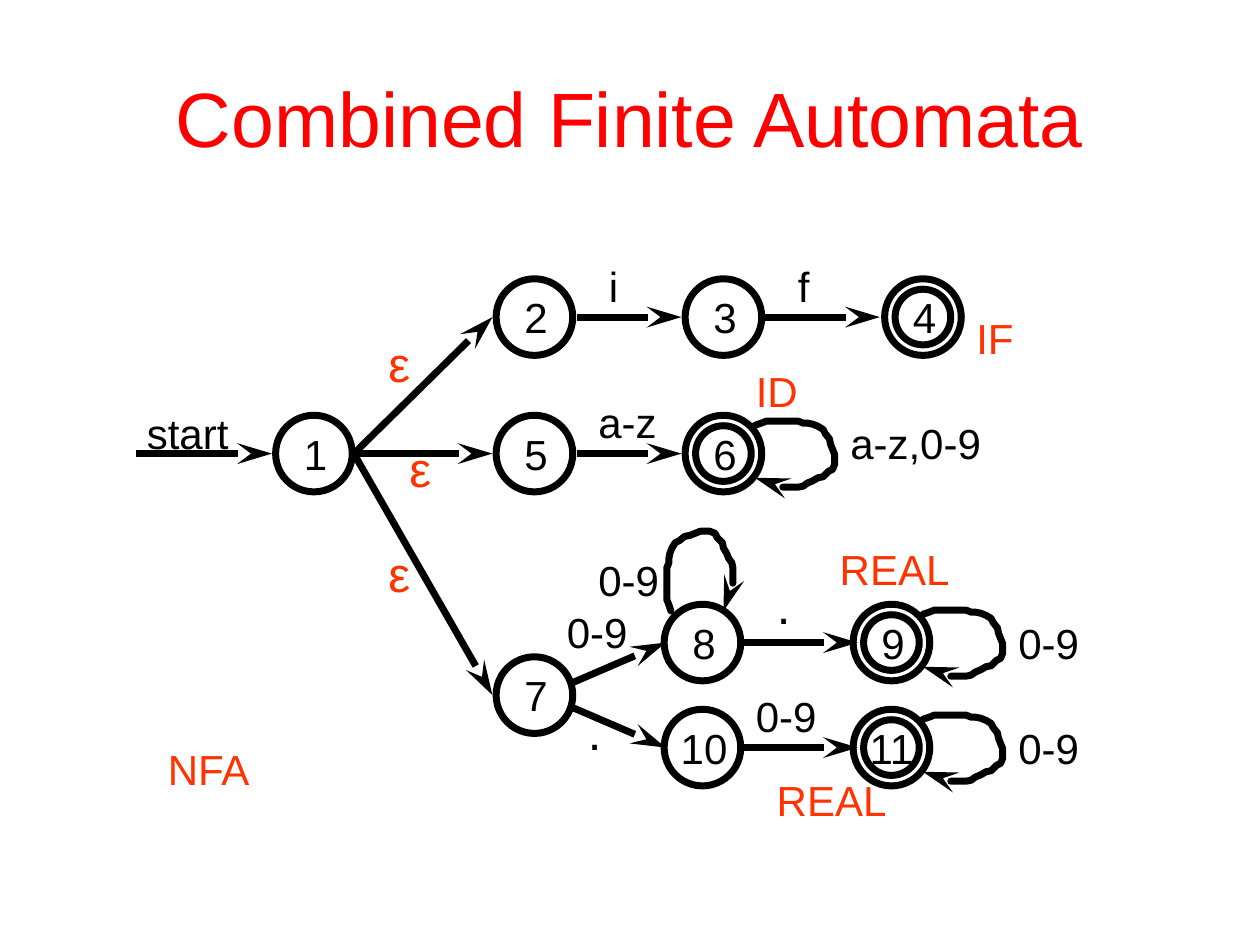
"""Builds a slide showing the combined finite automata as one NFA."""
from dataclasses import dataclass

from lxml.etree import SubElement
from pptx import Presentation
from pptx.dml.color import RGBColor
from pptx.enum.shapes import MSO_CONNECTOR, MSO_SHAPE
from pptx.enum.text import MSO_ANCHOR, MSO_AUTO_SIZE, PP_ALIGN
from pptx.oxml.ns import qn
from pptx.util import Inches, Pt


@dataclass(frozen=True)
class Theme:
    font: str = "Arial"
    ink: RGBColor = RGBColor(0, 0, 0)
    head: RGBColor = RGBColor(255, 0, 0)
    mark: RGBColor = RGBColor(255, 51, 0)
    title: int = 44
    text: int = 24
    sign: int = 28
    line: int = 4


theme = Theme()
deck = Presentation()
deck.slide_width, deck.slide_height = Inches(10), Inches(7.5)
slide = deck.slides.add_slide(deck.slide_layouts[6])
shapes = slide.shapes
unit = deck.slide_width / 120
shift = 0.2


def spot(col, row):
    return round((col - shift) * unit), round((row + shift) * unit)


def write(text, col, row, wide, high, size=theme.text, color=theme.ink):
    box = shapes.add_textbox(*spot(col, row), round(wide * unit), round(high * unit))
    frame = box.text_frame
    frame.text = text
    frame.word_wrap = False
    frame.auto_size = MSO_AUTO_SIZE.SHAPE_TO_FIT_TEXT
    font = frame.paragraphs[0].runs[0].font
    font.name, font.size = theme.font, Pt(size)
    font.color.rgb = color
    return frame


title = write("Combined Finite Automata", 6.2, 3.4, 108, 15, theme.title, theme.head)
title.word_wrap = True
title.auto_size = MSO_AUTO_SIZE.NONE
title.vertical_anchor = MSO_ANCHOR.MIDDLE
title.paragraphs[0].alignment = PP_ALIGN.CENTER

outer, inner = 7.3, 5.3
states = {
    "1": (30.1, 43), "2": (51.1, 30), "3": (69.1, 30), "4": (88.1, 30),
    "5": (51.1, 43), "6": (69.1, 43), "7": (51.1, 66), "8": (67.1, 61),
    "9": (85.1, 61), "10": (67.1, 71), "11": (85.1, 71),
}
final = {"4", "6", "9", "11"}
for name, (col, row) in states.items():
    for size in (outer, inner) if name in final else (outer,):
        side = round(size * unit)
        ring = shapes.add_shape(
            MSO_SHAPE.OVAL, *spot(col - size / 2, row - size / 2), side, side)
        ring.shadow.inherit = False
        ring.fill.background()
        ring.line.color.rgb = theme.ink
        ring.line.width = Pt(theme.line)
    wide = 2.5 + 2.2 * len(name)
    write(name, col - wide / 2 + 0.2, row - 3, wide, 6)

arrows = []
for start, end in [
    ((13.2, 43), (26.1, 43)), ((33.9, 43), (47.1, 30)), ((34.2, 43), (47.1, 43)),
    ((33.9, 43), (47.1, 66)), ((55.2, 30), (65.1, 30)), ((72.9, 30), (84, 30)),
    ((55.2, 43), (65.1, 43)), ((54.3, 65), (63.6, 61)), ((54.3, 67), (63.6, 71)),
    ((71, 61), (81.9, 61)), ((71, 71), (81.9, 71)),
]:
    arrow = shapes.add_connector(MSO_CONNECTOR.STRAIGHT, *spot(*start), *spot(*end))
    SubElement(arrow._element.spPr, qn("a:effectLst"))
    arrows.append(arrow)

curve = [
    (-3, -3), (-3.2, -3.6), (-3.4, -4.1), (-3.4, -7.1), (-3.2, -7.6), (-3.2, -8),
    (-3.1, -8.5), (-2.9, -9), (-2.6, -9.5), (-2.2, -9.7), (-1.7, -10.1),
    (-1.2, -10.2), (-0.7, -10.4), (-0.2, -10.6), (0.7, -10.6), (1.2, -10.4),
    (1.4, -10), (1.9, -9.5), (2, -9), (2.3, -8.5), (2.5, -8), (2.8, -7.6),
    (2.9, -7.1), (2.9, -5.6), (3, -5.3), (3, -4.8), (2.9, -4.3), (2.8, -3.8),
    (2.5, -3.4), (2, -2.9), (2, -3),
]
side = [(-y, x + 0.3) for x, y in curve]
for name, bend in [("8", curve), ("6", side), ("9", side), ("11", side)]:
    col, row = states[name]
    dots = [spot(col + x, row + y) for x, y in bend]
    pen = shapes.build_freeform(*dots[0])
    pen.add_line_segments(dots[1:], close=False)
    loop = pen.convert_to_shape()
    loop.shadow.inherit = False
    loop.fill.background()
    loop.line._get_or_add_ln().set("cap", "rnd")
    arrows.append(loop)

for arrow in arrows:
    arrow.line.color.rgb = theme.ink
    arrow.line.width = Pt(theme.line)
    SubElement(arrow.line._get_or_add_ln(), qn("a:tailEnd"), type="stealth", len="lg")

for text, col, row, wide in [
    ("start", 13, 38, 10.2), ("i", 57, 24, 3.4), ("f", 75, 24, 3.5),
    ("a-z", 56, 37, 8), ("a-z,0-9", 80, 39, 14.9), ("0-9", 56, 52, 8.2),
    ("0-9", 53, 57, 8.2), ("0-9", 71, 65, 8.2), ("0-9", 96, 58, 8.2),
    ("0-9", 96, 68, 8.2),
]:
    write(text, col, row, wide, 6)

for text, col, row, wide in [
    ("IF", 92, 29, 6), ("ID", 71, 34, 6.5), ("REAL", 79, 51, 13),
    ("REAL", 73, 73, 13), ("NFA", 15, 70, 10.4),
]:
    write(text, col, row, wide, 6, color=theme.mark)

for text, col, row, wide, color in [
    ("ε", 36, 31, 4.4, theme.mark), ("ε", 38, 41, 4.4, theme.mark),
    ("ε", 36, 51, 4.4, theme.mark), (".", 55, 66, 3.7, theme.ink),
    (".", 73, 54, 3.7, theme.ink),
]:
    write(text, col, row, wide, 6.8, theme.sign, color)

deck.save("out.pptx")
